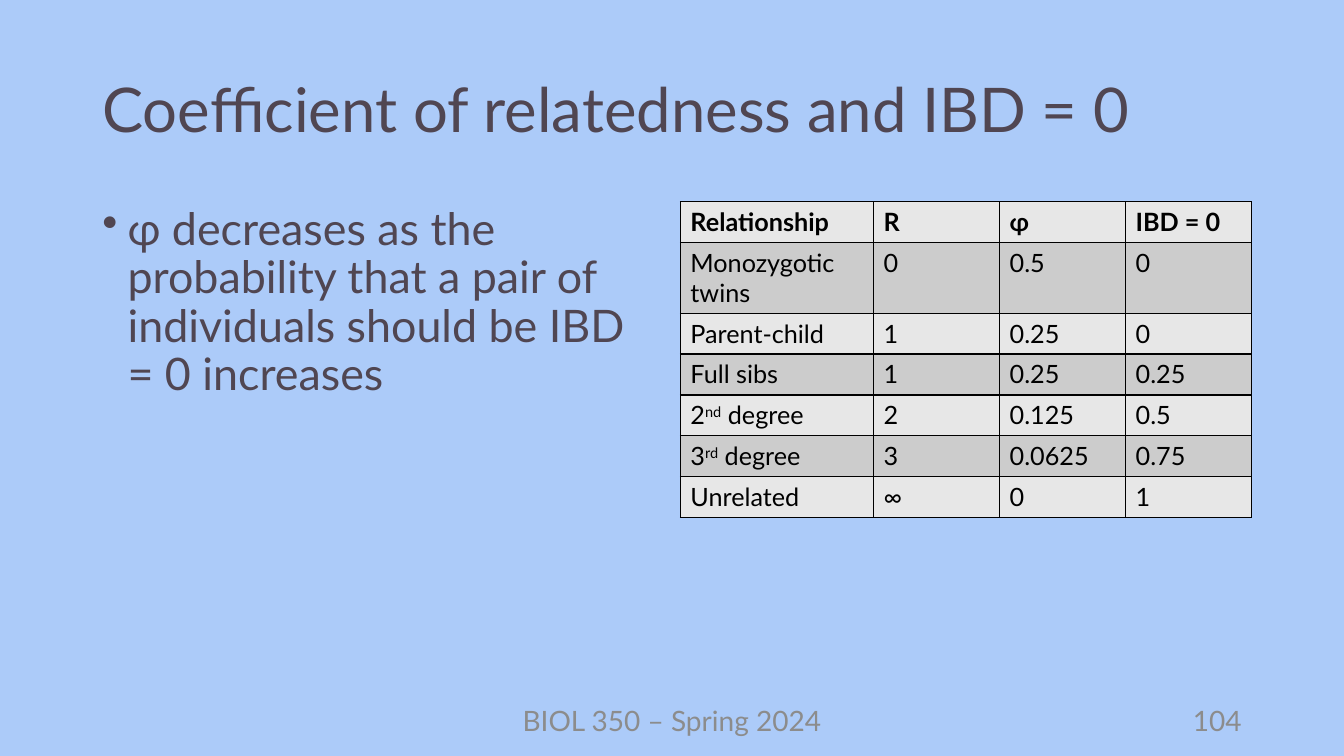
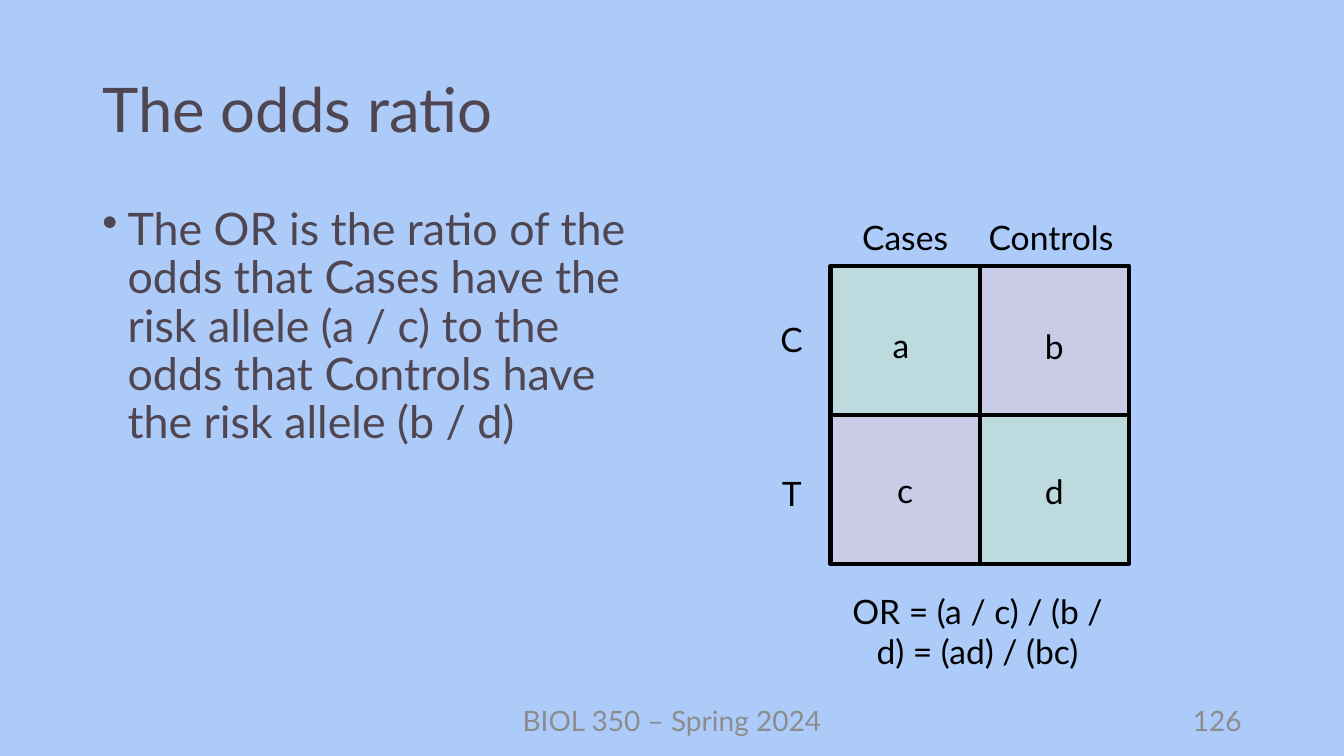
from dataclasses import dataclass

from lxml import etree
from pptx import Presentation
from pptx.dml.color import RGBColor
from pptx.enum.shapes import MSO_SHAPE
from pptx.enum.text import MSO_ANCHOR, MSO_AUTO_SIZE, PP_ALIGN
from pptx.oxml.ns import qn
from pptx.util import Emu, Pt

RECT = MSO_SHAPE.RECTANGLE
TOP, MIDDLE = MSO_ANCHOR.TOP, MSO_ANCHOR.MIDDLE
FIXED, GROW = MSO_AUTO_SIZE.NONE, MSO_AUTO_SIZE.SHAPE_TO_FIT_TEXT
LEFT, CENTER, RIGHT = PP_ALIGN.LEFT, PP_ALIGN.CENTER, PP_ALIGN.RIGHT
TITLE_ONLY = 5


@dataclass(frozen=True)
class Theme:
    font: str = "Lato"
    back: str = "ACCBF9"
    text: str = "504652"
    black: str = "000000"
    muted: str = "8C8C8C"
    bands: tuple = ("E7E7E7", "CCCCCC")
    squares: tuple = ("BDDADF", "C9CBE7")
    title: int = 44
    body: int = 32
    label: int = 24
    foot: int = 20
    cell: int = 18


THEME = Theme()

KIN = [
    ("Relationship", "R", "φ", "IBD = 0"),
    ("Monozygotic twins", "0", "0.5", "0"),
    ("Parent-child", "1", "0.25", "0"),
    ("Full sibs", "1", "0.25", "0.25"),
    ("2^nd^ degree", "2", "0.125", "0.5"),
    ("3^rd^ degree", "3", "0.0625", "0.75"),
    ("Unrelated", "∞", "0", "1"),
]


def px(n):
    return Emu(n * 9525)


def box(*sides):
    return [px(n) for n in sides]


def apply(item, **values):
    for name, value in values.items():
        setattr(item, name, value)


def paint(fill, color):
    fill.solid()
    fill.fore_color.rgb = RGBColor.from_string(color)


def write(frame, text, size, color, align=LEFT, bold=False):
    para = frame.paragraphs[0]
    para.alignment = align
    for i, part in enumerate(text.split("^")):
        run = para.add_run()
        run.text = part
        apply(run.font, name=THEME.font, size=Pt(size), bold=bold)
        run.font.color.rgb = RGBColor.from_string(color)
        if i % 2:
            run.font._element.set("baseline", "30000")
    return para


def add_text(slide, text, at, size, color, align=LEFT, anchor=TOP, fit=FIXED):
    frame = slide.shapes.add_textbox(*box(*at)).text_frame
    apply(frame, word_wrap=True, vertical_anchor=anchor, auto_size=fit)
    return write(frame, text, size, color, align)


def add_label(slide, text, left, top, width=142, height=48):
    add_text(slide, text, (left, top, width, height), THEME.label,
             THEME.black, CENTER, fit=GROW)


def add_body(slide, text):
    para = add_text(slide, text, (88, 192, 544, 457), THEME.body, THEME.text)
    props = para._p.get_or_add_pPr()
    props.set("marL", str(px(24)))
    props.set("indent", str(px(-24)))
    etree.SubElement(props, qn("a:buChar")).set("char", "•")
    para.line_spacing = 0.9


def add_slide(deck, title, body, number):
    slide = deck.slides.add_slide(deck.slide_layouts[TITLE_ONLY])
    head = slide.shapes.title
    left, top, width, height = box(88, 38, 1104, 139)
    apply(head, left=left, top=top, width=width, height=height)
    apply(head.text_frame, word_wrap=True, vertical_anchor=MIDDLE, auto_size=FIXED)
    write(head.text_frame, title, THEME.title, THEME.text).line_spacing = 0.9
    add_body(slide, body)
    foots = [("BIOL 350 – Spring 2024", 424, 432, CENTER),
             (str(number), 904, 288, RIGHT)]
    for text, left, width, align in foots:
        add_text(slide, text, (left, 667, width, 38), THEME.foot, THEME.muted,
                 align, MIDDLE)
    return slide


def add_border(cell):
    props = cell._tc.get_or_add_tcPr()
    for side in ("lnL", "lnR", "lnT", "lnB"):
        line = etree.SubElement(props, qn("a:" + side), w=str(Pt(1)))
        fill = etree.SubElement(line, qn("a:solidFill"))
        etree.SubElement(fill, qn("a:srgbClr"), val=THEME.black)


def add_table(slide, rows, widths, heights, left, top):
    at = box(left, top, sum(widths), sum(heights))
    table = slide.shapes.add_table(len(rows), len(widths), *at).table
    apply(table, first_row=False, horz_banding=False)
    for col, width in zip(table.columns, widths):
        col.width = px(width)
    for r, (row, height) in enumerate(zip(rows, heights)):
        table.rows[r].height = px(height)
        for c, text in enumerate(row):
            cell = table.cell(r, c)
            add_border(cell)
            paint(cell.fill, THEME.bands[r % 2])
            write(cell.text_frame, text, THEME.cell, THEME.black, bold=r == 0)


def add_grid(slide, left, top, side):
    for r in range(2):
        for c in range(2):
            at = box(left + c * side, top + r * side, side, side)
            square = slide.shapes.add_shape(RECT, *at)
            square.shadow.inherit = False
            paint(square.fill, THEME.squares[(r + c) % 2])
            paint(square.line.fill, THEME.black)
            square.line.width = Pt(3)


def main():
    deck = Presentation()
    apply(deck, slide_width=px(1280), slide_height=px(720))
    paint(deck.slide_master.background.fill, THEME.back)

    slide = add_slide(
        deck, "Coefficient of relatedness and IBD = 0",
        "φ decreases as the probability that a pair of individuals "
        "should be IBD = 0 increases", 104)
    add_table(slide, KIN, [184] + [120] * 3, [39, 67] + [39] * 5, 648, 192)

    slide = add_slide(
        deck, "The odds ratio",
        "The OR is the ratio of the odds that Cases have the risk allele "
        "(a / c) to the odds that Controls have the risk allele (b / d)", 126)
    add_grid(slide, 791, 253, 142)
    labels = [
        ("a", 787, 305), ("b", 933, 306), ("c", 791, 443), ("d", 933, 444),
        ("C", 683, 299), ("T", 683, 446),
        ("Cases", 791, 202), ("Controls", 930, 202),
    ]
    for label in labels:
        add_label(slide, *label)
    add_label(slide, "OR = (a / c) / (b / d) = (ad) / (bc)", 787, 558, 288, 87)
    deck.save("out.pptx")


if __name__ == "__main__":
    main()
